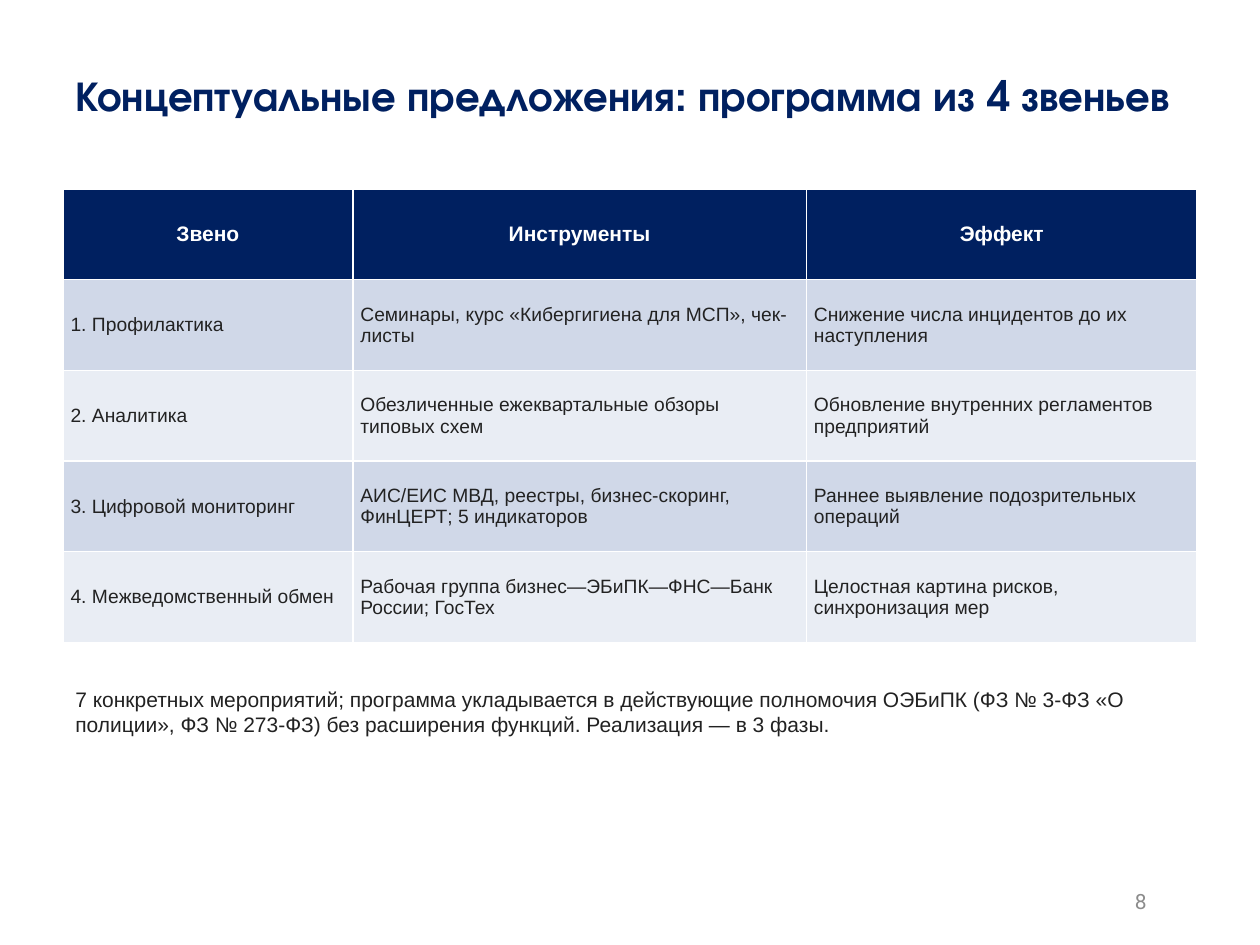
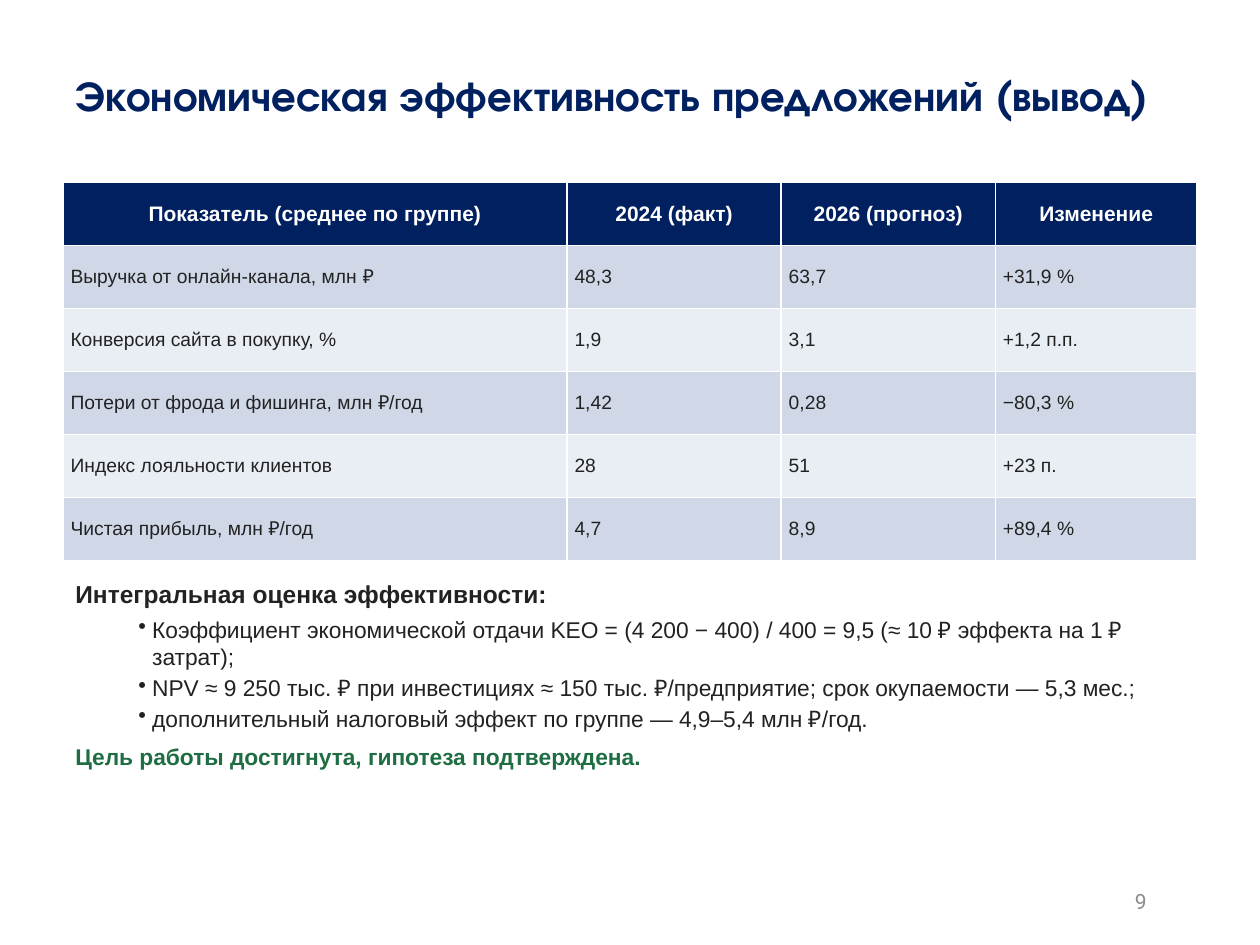
from dataclasses import dataclass

from pptx import Presentation
from pptx import util as u
from pptx.dml.color import RGBColor
from pptx.enum import text
from pptx.oxml import xmlchemy


@dataclass(frozen=True)
class Theme:
    """Colours, fonts and type sizes that the slides share."""
    navy: str = "002060"
    ink: str = "222222"
    white: str = "FFFFFF"
    green: str = "1F6E43"
    grey: str = "8C8C8C"
    bands: tuple = ("D0D8E8", "E9EDF4")
    title_font: str = "TeX Gyre Adventor"
    body_font: str = "Arial"
    number_font: str = "Roboto"
    title_size: float = 24
    heading_size: float = 14
    point_size: float = 13
    base_size: float = 12
    cell_size: float = 11


THEME = Theme()
LEFT, WIDTH = 0.5, 9
CELL_FORMAT = {
    "vertical_anchor": text.MSO_ANCHOR.MIDDLE,
    "margin_left": u.Inches(0.06), "margin_right": u.Inches(0.06),
    "margin_top": u.Inches(0.03), "margin_bottom": u.Inches(0.03),
}
HEADING = {"size": THEME.heading_size, "bold": True}
POINT = {"size": THEME.point_size, "after": 2, "bullet": True}
CONCLUSION = {"size": THEME.point_size, "bold": True, "color": THEME.green, "before": 4}


def apply(target, values):
    """Set each named attribute on the target."""
    for name, value in values.items():
        setattr(target, name, value)


def add_bullet(paragraph, start=0.5, hang=0.11):
    """Give the paragraph a round bullet with its text set close behind it."""
    properties = paragraph._p.get_or_add_pPr()
    properties.set("marL", str(u.Inches(start + hang)))
    properties.set("indent", str(-u.Inches(hang)))
    bullet = xmlchemy.OxmlElement("a:buChar")
    bullet.set("char", "•")
    properties.append(bullet)


def write(paragraph, words, size=THEME.base_size, font=THEME.body_font, color=THEME.ink,
          bold=False, align=text.PP_ALIGN.LEFT, before=0, after=0, bullet=False):
    """Fill one paragraph with styled text."""
    apply(paragraph, {"alignment": align, "space_before": u.Pt(before), "space_after": u.Pt(after)})
    if bullet:
        add_bullet(paragraph)
    run = paragraph.add_run()
    run.text = words
    apply(run.font, {"size": u.Pt(size), "name": font, "bold": bold})
    run.font.color.rgb = RGBColor.from_string(color)


def add_text(slide, box, paragraphs, **frame_format):
    """Place a wrapping text box holding (words, style) paragraphs."""
    frame = slide.shapes.add_textbox(*map(u.Inches, box)).text_frame
    apply(frame, {"word_wrap": True, **frame_format})
    for index, (words, style) in enumerate(paragraphs):
        paragraph = frame.add_paragraph() if index else frame.paragraphs[0]
        write(paragraph, words, **style)


def add_title(slide, title):
    """Place the slide title."""
    style = {"size": THEME.title_size, "font": THEME.title_font, "color": THEME.navy,
             "bold": True, "after": 4}
    add_text(slide, (LEFT, 0.5, WIDTH, 0.8), [(title, style)])


def add_page_number(slide, number):
    """Place the page number at the lower right."""
    style = {"font": THEME.number_font, "color": THEME.grey, "align": text.PP_ALIGN.RIGHT}
    add_text(slide, (7.17, 6.95, 2.03, 0.4), [(str(number), style)],
             vertical_anchor=text.MSO_ANCHOR.MIDDLE)


def add_banded_table(slide, top, row_height, widths, rows):
    """Place a table with a navy header and alternating body rows."""
    box = (LEFT, top, sum(widths), row_height * len(rows))
    table = slide.shapes.add_table(len(rows), len(widths), *map(u.Inches, box)).table
    for column, width in zip(table.columns, widths):
        column.width = u.Inches(width)
    header = {"color": THEME.white, "bold": True, "align": text.PP_ALIGN.CENTER}
    body = {"size": THEME.cell_size}
    for row_index, row in enumerate(rows):
        fill = THEME.bands[(row_index - 1) % 2] if row_index else THEME.navy
        for column_index, words in enumerate(row):
            cell = table.cell(row_index, column_index)
            apply(cell, CELL_FORMAT)
            cell.fill.solid()
            cell.fill.fore_color.rgb = RGBColor.from_string(fill)
            write(cell.text_frame.paragraphs[0], words, **(body if row_index else header))


def add_table_slide(presentation, number, title, table, notes_box, notes):
    """Add a slide with a title, a table and closing text below it."""
    slide = presentation.slides.add_slide(presentation.slide_layouts[6])
    add_page_number(slide, number)
    add_title(slide, title)
    add_banded_table(slide, **table)
    paragraphs = [(words, {"after": 4, **style}) for words, style in notes]
    add_text(slide, notes_box, paragraphs)


PROGRAMME = {
    "top": 1.5, "row_height": 0.72, "widths": (2.3, 3.6, 3.1),
    "rows": [
        ("Звено", "Инструменты", "Эффект"),
        ("1. Профилактика", "Семинары, курс «Кибергигиена для МСП», чек-листы",
         "Снижение числа инцидентов до их наступления"),
        ("2. Аналитика", "Обезличенные ежеквартальные обзоры типовых схем",
         "Обновление внутренних регламентов предприятий"),
        ("3. Цифровой мониторинг", "АИС/ЕИС МВД, реестры, бизнес-скоринг, ФинЦЕРТ; 5 индикаторов",
         "Раннее выявление подозрительных операций"),
        ("4. Межведомственный обмен", "Рабочая группа бизнес—ЭБиПК—ФНС—Банк России; ГосТех",
         "Целостная картина рисков, синхронизация мер"),
    ],
}
PROGRAMME_NOTES = [
    ("7 конкретных мероприятий; программа укладывается в действующие полномочия ОЭБиПК "
     "(ФЗ № 3-ФЗ «О полиции», ФЗ № 273-ФЗ) без расширения функций. Реализация — в 3 фазы.", {}),
]
EFFICIENCY = {
    "top": 1.45, "row_height": 0.5, "widths": (4, 1.7, 1.7, 1.6),
    "rows": [
        ("Показатель (среднее по группе)", "2024 (факт)", "2026 (прогноз)", "Изменение"),
        ("Выручка от онлайн-канала, млн ₽", "48,3", "63,7", "+31,9 %"),
        ("Конверсия сайта в покупку, %", "1,9", "3,1", "+1,2 п.п."),
        ("Потери от фрода и фишинга, млн ₽/год", "1,42", "0,28", "−80,3 %"),
        ("Индекс лояльности клиентов", "28", "51", "+23 п."),
        ("Чистая прибыль, млн ₽/год", "4,7", "8,9", "+89,4 %"),
    ],
}
EFFICIENCY_NOTES = [
    ("Интегральная оценка эффективности:", HEADING),
    ("Коэффициент экономической отдачи KEO = (4 200 − 400) / 400 = 9,5 "
     "(≈ 10 ₽ эффекта на 1 ₽ затрат);", POINT),
    ("NPV ≈ 9 250 тыс. ₽ при инвестициях ≈ 150 тыс. ₽/предприятие; "
     "срок окупаемости — 5,3 мес.;", POINT),
    ("дополнительный налоговый эффект по группе — 4,9–5,4 млн ₽/год.", POINT),
    ("Цель работы достигнута, гипотеза подтверждена.", CONCLUSION),
]


def main():
    """Build and save the presentation."""
    presentation = Presentation()
    apply(presentation, {"slide_width": u.Inches(10), "slide_height": u.Inches(7.5)})
    add_table_slide(presentation, 8, "Концептуальные предложения: программа из 4 звеньев",
                    PROGRAMME, (LEFT, 5.4, WIDTH, 1.4), PROGRAMME_NOTES)
    add_table_slide(presentation, 9, "Экономическая эффективность предложений (вывод)",
                    EFFICIENCY, (LEFT, 4.55, WIDTH, 2.6), EFFICIENCY_NOTES)
    presentation.save("out.pptx")


if __name__ == "__main__":
    main()
